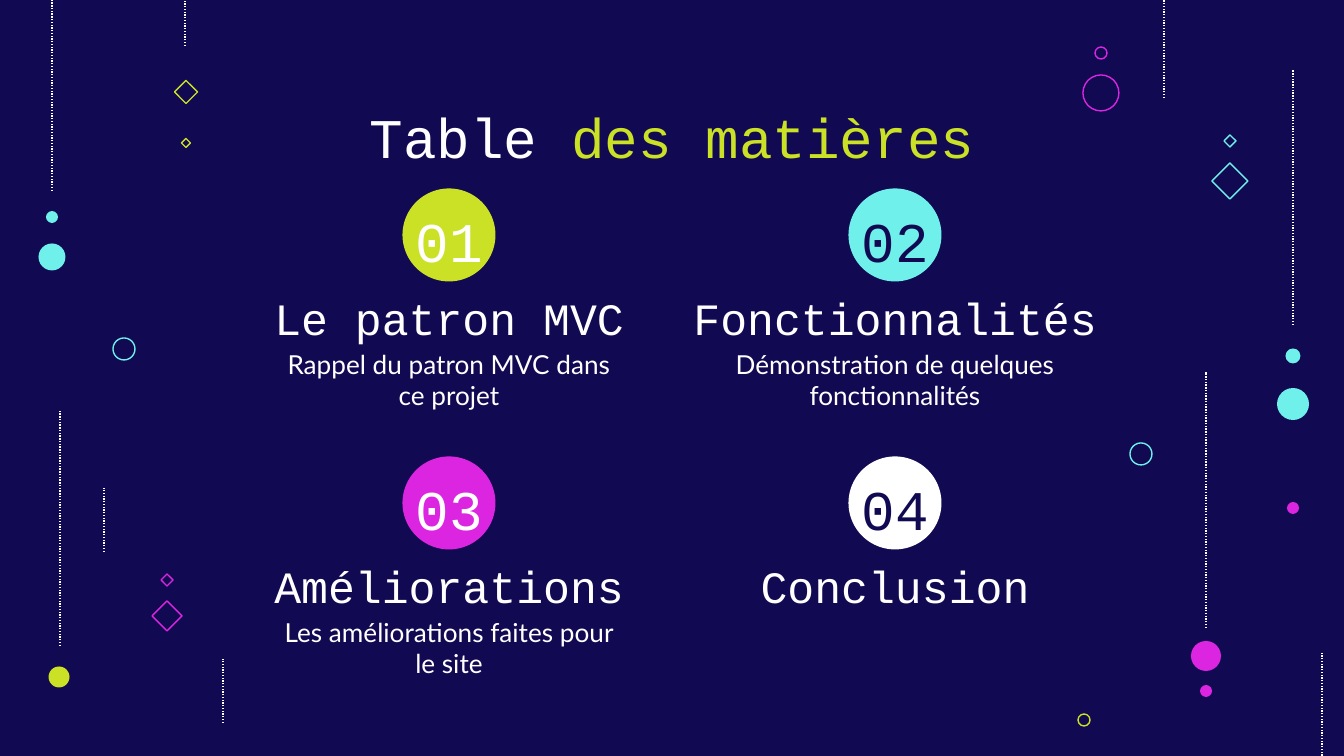
from lxml import etree
from pptx import Presentation
from pptx import util as u
from pptx.dml.color import RGBColor
from pptx.enum import dml, shapes, text
from pptx.oxml.ns import qn

NAVY = RGBColor(0x11, 0x0A, 0x52)
WHITE = RGBColor(0xFF, 0xFF, 0xFF)
LIME = RGBColor(0xCB, 0xE1, 0x25)
CYAN = RGBColor(0x6F, 0xF0, 0xEB)
PINK = RGBColor(0xDB, 0x25, 0xE1)

CIRCLE = shapes.MSO_SHAPE.OVAL
DIAMOND = shapes.MSO_SHAPE.DIAMOND
TOP, MIDDLE, BOTTOM = (text.MSO_ANCHOR.TOP, text.MSO_ANCHOR.MIDDLE,
                       text.MSO_ANCHOR.BOTTOM)

TITLE = {"name": "Courier New", "size": u.Pt(30)}
HEADING = {"name": "Courier New", "size": u.Pt(24)}
BODY = {"name": "Lato", "size": u.Pt(14)}


def px(n):
    return u.Inches(n / 134.4)


class Deck:
    line_width = u.Pt(0.75)

    def __init__(self, width, height):
        self.prs = Presentation()
        self.prs.slide_width, self.prs.slide_height = px(width), px(height)
        self.s = self.prs.slides.add_slide(self.prs.slide_layouts[6])
        self.s.background.fill.solid()
        self.s.background.fill.fore_color.rgb = NAVY

    def dot(self, kind, cx, cy, size, color, filled=True):
        sp = self.s.shapes.add_shape(kind, px(cx - size / 2), px(cy - size / 2),
                                     px(size), px(size))
        sp.shadow.inherit = False
        if filled:
            sp.fill.solid()
            sp.fill.fore_color.rgb = color
            sp.line.fill.background()
        else:
            sp.fill.background()
            sp.line.color.rgb = color
            sp.line.width = self.line_width

    def dotted_line(self, x, start, end):
        ln = self.s.shapes.add_connector(shapes.MSO_CONNECTOR.STRAIGHT,
                                         px(x), px(start), px(x), px(end))
        ln.line.color.rgb = WHITE
        ln.line.width = self.line_width
        ln.line.dash_style = dml.MSO_LINE.ROUND_DOT
        etree.SubElement(ln._element.spPr, qn("a:effectLst"))

    def label(self, cx, top, width, height, runs, style, anchor=TOP, spacing=1.0):
        sp = self.s.shapes.add_textbox(px(cx - width / 2), px(top),
                                       px(width), px(height))
        tf = sp.text_frame
        frame = {"word_wrap": True, "vertical_anchor": anchor}
        for side in ("left", "right", "top", "bottom"):
            frame["margin_" + side] = u.Inches(0.1)
        for key, value in frame.items():
            setattr(tf, key, value)
        p = tf.paragraphs[0]
        p.alignment = text.PP_ALIGN.CENTER
        p.line_spacing = spacing
        for words, color in runs:
            r = p.add_run()
            r.text = words
            for key, value in style.items():
                setattr(r.font, key, value)
            r.font.color.rgb = color


FILLED_DOTS = [
    (1293, 356, 15, CYAN), (1293, 404, 32, CYAN), (1293, 508, 12, PINK),
    (1206, 656, 30, PINK), (1206, 691, 12, PINK),
    (52, 217, 12, CYAN), (52, 257, 27, CYAN), (59, 677, 21, LIME),
]
RINGS = [
    (1101, 53, 12, PINK), (1101, 93, 36, PINK), (1084, 720, 12, LIME),
    (1141, 454, 22, CYAN), (124, 349, 22, CYAN),
]
DIAMONDS = [
    (1230, 141, 12, CYAN), (1230, 181, 36, CYAN),
    (186, 92, 23, LIME), (186, 143, 9, LIME),
    (167, 580, 12, PINK), (167, 616, 30, PINK),
]
DOTTED_LINES = [
    (1293, 325, 70), (60, 646, 411), (52, 191, -44), (1164, 98, -157),
    (185, 46, -210), (223, 723, 659), (104, 552, 488), (1322, 786, 653),
    (1206, 628, 372),
]
CHAPTERS = [
    ("Le patron MVC", 456, "Rappel du patron MVC dans ce projet", LIME, WHITE),
    ("Fonctionnalités", 462, "Démonstration de quelques fonctionnalités", CYAN, NAVY),
    ("Améliorations", 415, "Les améliorations faites pour le site", PINK, WHITE),
    ("Conclusion", 376, None, WHITE, NAVY),
]


def main():
    deck = Deck(1344, 756)
    for x, start, end in DOTTED_LINES:
        deck.dotted_line(x, start, end)
    for dot in FILLED_DOTS:
        deck.dot(CIRCLE, *dot)
    for ring in RINGS:
        deck.dot(CIRCLE, *ring, filled=False)
    for diamond in DIAMONDS:
        deck.dot(DIAMOND, *diamond, filled=False)

    deck.label(672, 79, 772, 70, [("Table ", WHITE), ("des matières", LIME)],
               TITLE, spacing=1.15)
    for i, (heading, width, body, badge, ink) in enumerate(CHAPTERS):
        row, col = divmod(i, 2)
        cx, cy = 449 + 446 * col, 235 + 268 * row
        deck.dot(CIRCLE, cx, cy, 93, badge)
        deck.label(cx, cy - 32, 152, 65, [(f"{i + 1:02}", ink)], TITLE, MIDDLE, 1.15)
        deck.label(cx, cy + 58, width, 65, [(heading, WHITE)], HEADING, BOTTOM)
        if body:
            deck.label(cx, cy + 100, 375, 74, [(body, WHITE)], BODY)
    deck.prs.save("out.pptx")


if __name__ == "__main__":
    main()
